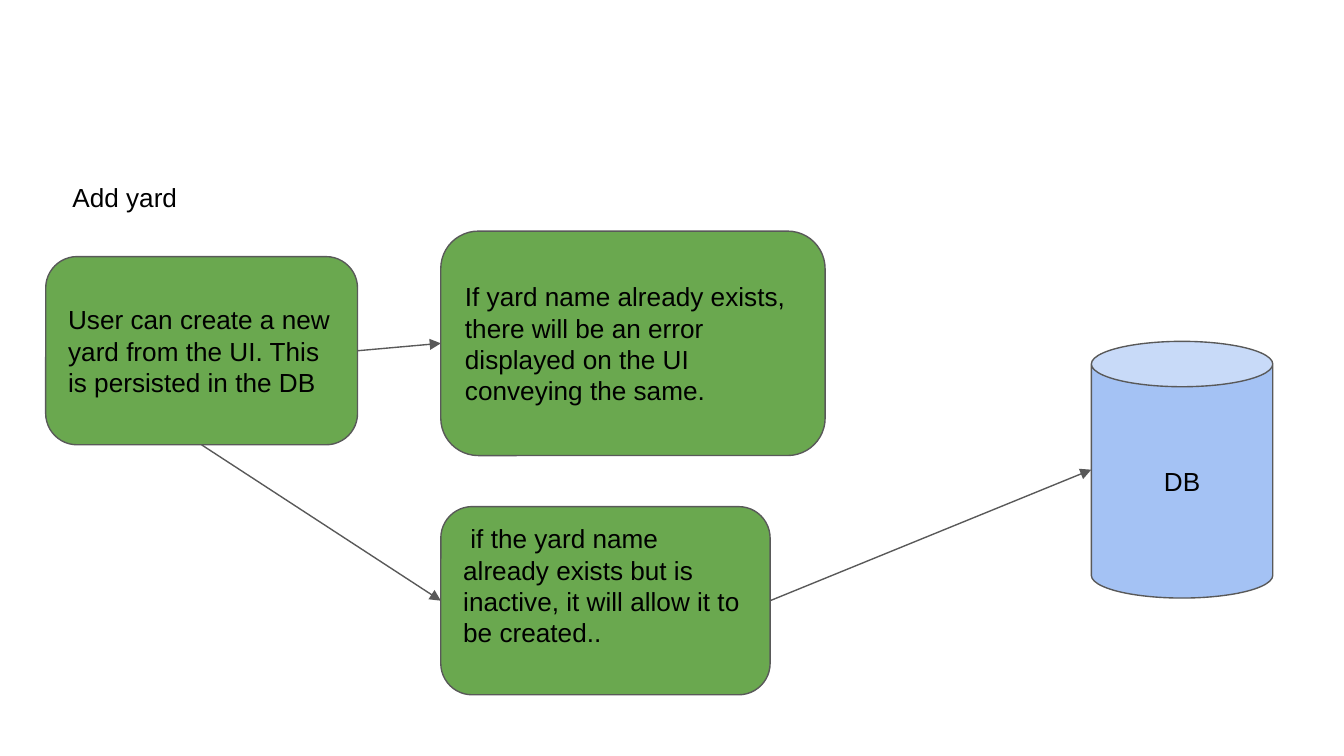
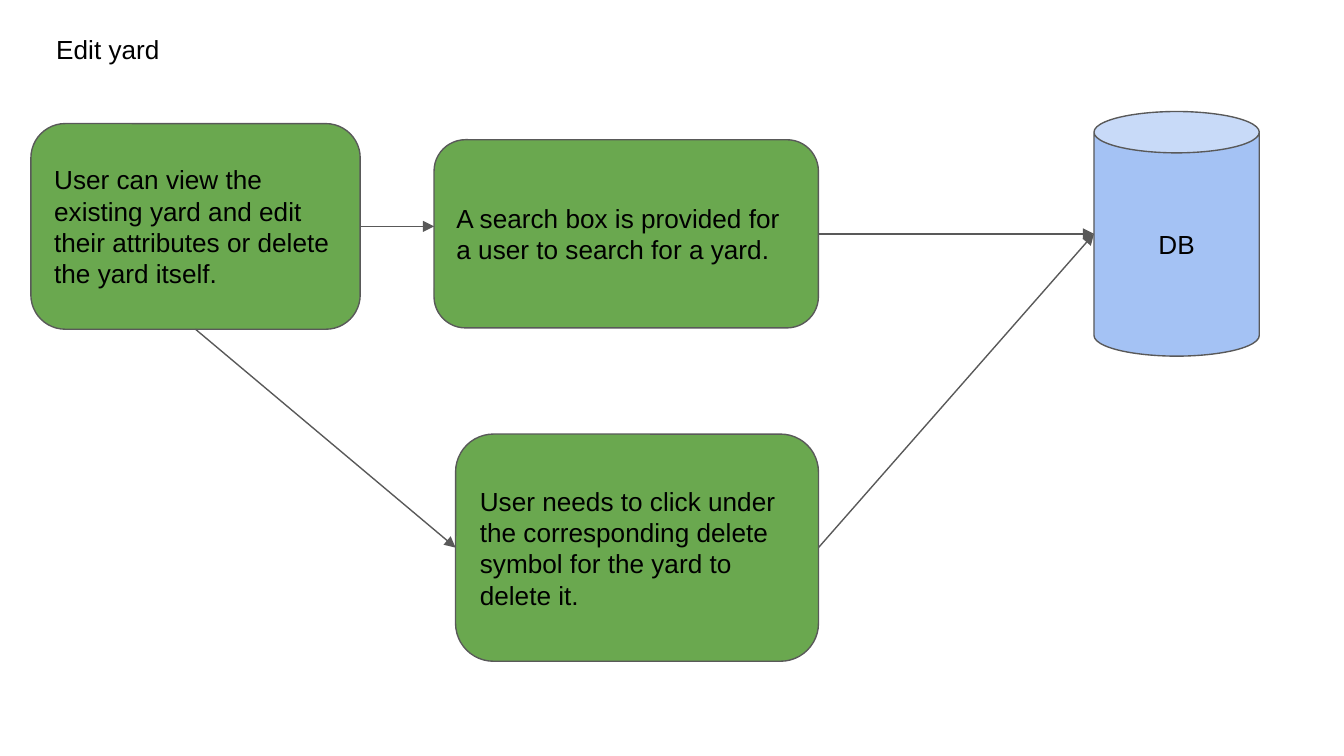
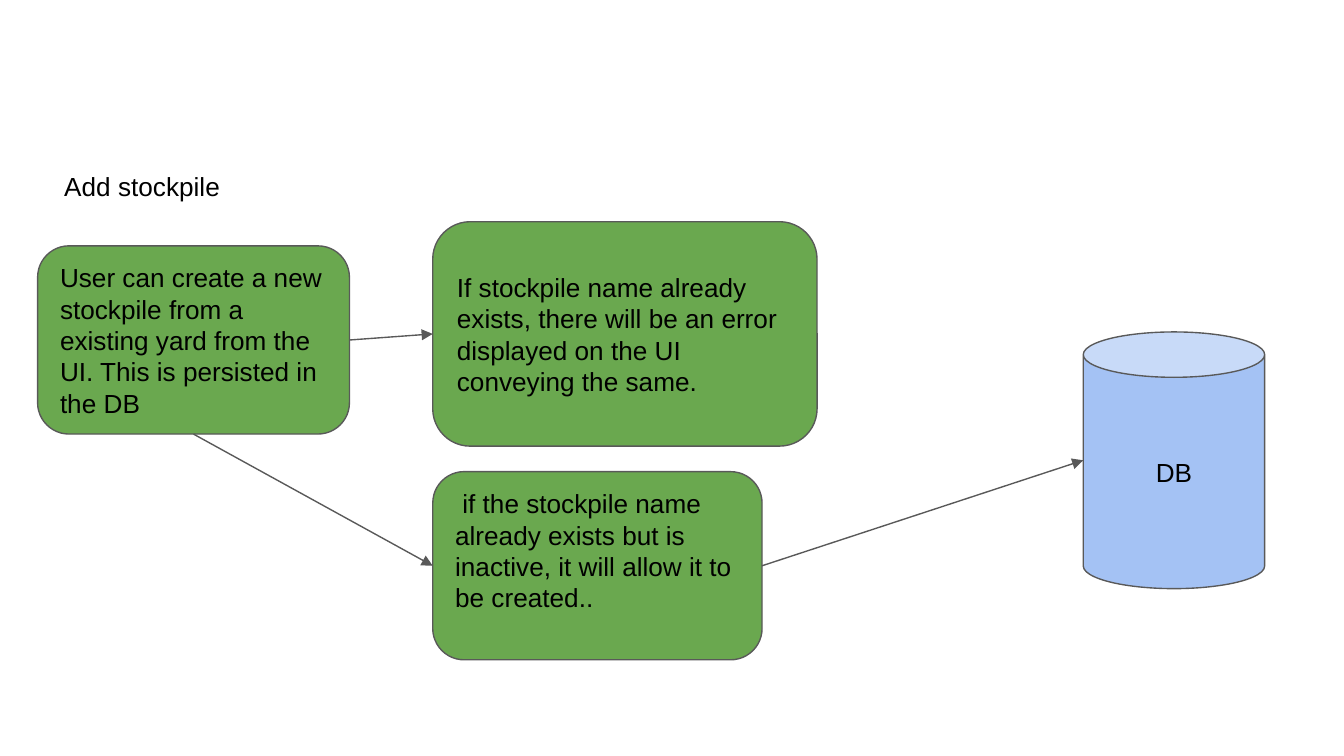
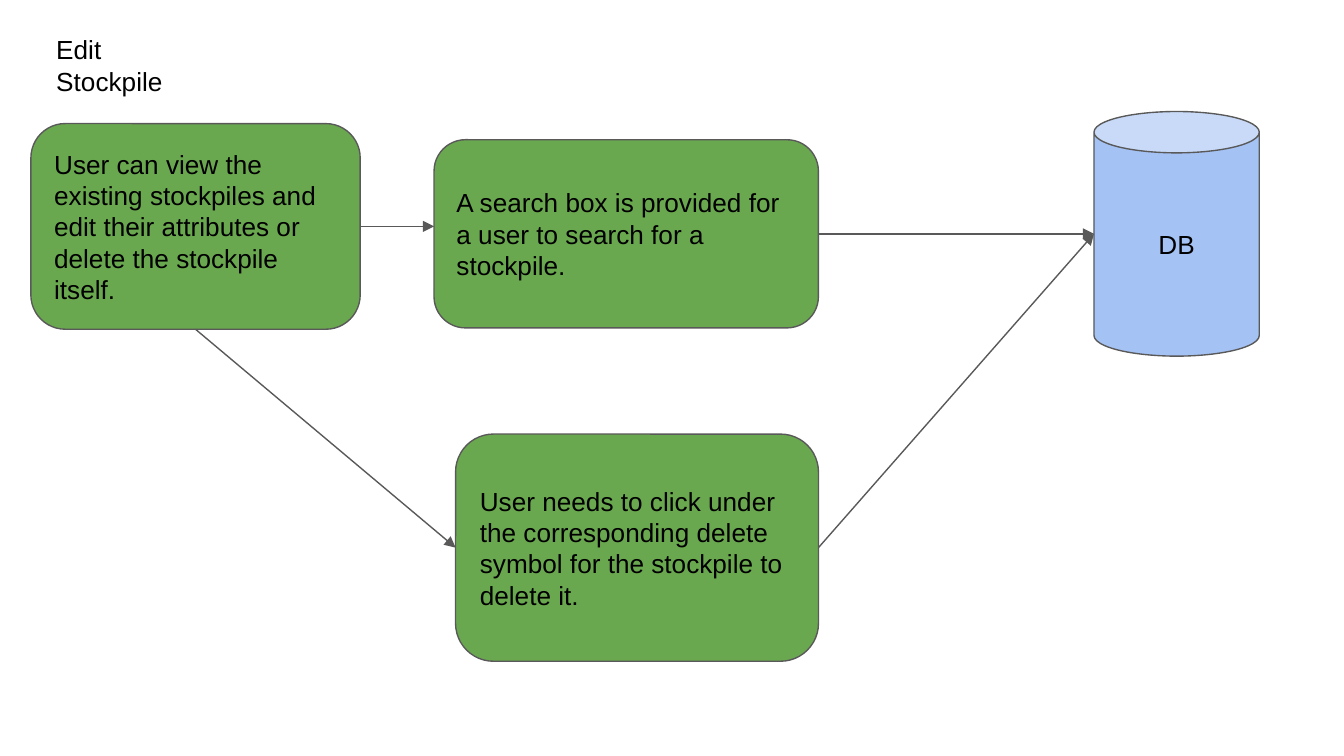
from lxml import etree
from pptx import Presentation
from pptx import util as u
from pptx.dml.color import RGBColor
from pptx.enum import shapes, text
from pptx.oxml.ns import qn

COLORS = {"step": "6AA84F", "database": "A4C2F4", "line": "595959", "text": "000000"}
FONT, FONT_SIZE = "Arial", u.Pt(14)
LINE_WIDTH = u.Pt(0.75)
INSET = 0.1
LINE_HEIGHT = 0.23

# Connection sites
LEFT, BOTTOM, RIGHT = 1, 2, 3
DATABASE_LEFT = 2


def color(name):
    return RGBColor.from_string(COLORS[name])


def write(shape, words, align=text.PP_ALIGN.LEFT, anchor=text.MSO_ANCHOR.MIDDLE,
          bottom=INSET):
    """Put one formatted paragraph into a shape."""
    frame = shape.text_frame
    frame.word_wrap = True
    frame.vertical_anchor = anchor
    frame.margin_left = frame.margin_right = frame.margin_top = u.Inches(INSET)
    frame.margin_bottom = u.Inches(bottom)
    para = frame.paragraphs[0]
    para.alignment = align
    span = para.add_run()
    span.text = words
    span.font.name, span.font.size = FONT, FONT_SIZE
    span.font.color.rgb = color("text")


def add_title(page, words, *place):
    box = page.shapes.add_textbox(*map(u.Inches, place))
    write(box, words, anchor=text.MSO_ANCHOR.TOP)


def add_block(page, kind, fill, place, words, **style):
    block = page.shapes.add_shape(kind, *map(u.Inches, place))
    block.shadow.inherit = False
    block.fill.solid()
    block.fill.fore_color.rgb = color(fill)
    block.line.color.rgb = color("line")
    block.line.width = LINE_WIDTH
    write(block, words, **style)
    return block


def add_step(page, words, *place, **style):
    return add_block(page, shapes.MSO_SHAPE.ROUNDED_RECTANGLE, "step", place, words, **style)


def add_database(page, *place):
    return add_block(page, shapes.MSO_SHAPE.CAN, "database", place, "DB",
                     align=text.PP_ALIGN.CENTER)


def add_arrow(page):
    arrow = page.shapes.add_connector(shapes.MSO_CONNECTOR.STRAIGHT, 0, 0, 0, 0)
    arrow.line.color.rgb = color("line")
    arrow.line.width = LINE_WIDTH
    line = arrow._element.spPr.find(qn("a:ln"))
    etree.SubElement(line, qn("a:tailEnd"), type="triangle")
    etree.SubElement(arrow._element.spPr, qn("a:effectLst"))
    return arrow


def link_steps(page, start, site, end):
    arrow = add_arrow(page)
    arrow.begin_connect(start, site)
    arrow.end_connect(end, LEFT)


def link_database(page, start, database):
    arrow = add_arrow(page)
    arrow.begin_connect(start, RIGHT)
    arrow.end_connect(database, DATABASE_LEFT)
    # The can numbers its sites differently, so set its left middle directly
    arrow.end_x = database.left
    arrow.end_y = database.top + database.height // 2


def add_creation_page(page, item, source, left, top, title_width, exists_top,
                      database_top, inactive_top):
    """Flow for adding an item; left and top are the corner of the first step."""
    add_title(page, f"Add {item}", left + 0.1, top - 0.66, title_width, 0.59)
    create = add_step(page, f"User can create a new {item} from {source}. "
                      "This is persisted in the DB", left, top, 2.32, 1.4)
    exists = add_step(page, f"If {item} name already exists, there will be an error "
                      "displayed on the UI conveying the same.",
                      left + 2.94, exists_top, 2.86, 1.67)
    link_steps(page, create, RIGHT, exists)
    database = add_database(page, left + 7.78, database_top, 1.35, 1.91)
    inactive = add_step(page, f" if the {item} name already exists but is inactive, "
                        "it will allow it to be created..",
                        left + 2.94, inactive_top, 2.45, 1.4, bottom=INSET + LINE_HEIGHT)
    link_steps(page, create, BOTTOM, inactive)
    link_database(page, inactive, database)


def add_editing_page(page, title, item, existing):
    """Flow for viewing, searching and deleting items."""
    add_title(page, title, 0.32, 0.15, 1.15, 0.59)
    view = add_step(page, f"User can view the existing {existing} and edit their "
                    f"attributes or delete the {item} itself.", 0.23, 0.92, 2.45, 1.53)
    # Level arrow: it meets the search step a little above its middle
    arrow = add_arrow(page)
    arrow.begin_connect(view, RIGHT)
    search = add_step(page, "A search box is provided for a user to search for "
                      f"a {item}.", 3.23, 1.04, 2.86, 1.4)
    arrow.end_x, arrow.end_y = search.left, arrow.begin_y
    database = add_database(page, 8.14, 0.83, 1.23, 1.82)
    link_database(page, search, database)
    delete = add_step(page, "User needs to click under the corresponding delete symbol "
                      f"for the {item} to delete it.", 3.39, 3.23, 2.7, 1.69)
    link_steps(page, view, BOTTOM, delete)
    link_database(page, delete, database)


def main():
    deck = Presentation()
    # Widescreen, 16:9
    deck.slide_width = u.Inches(10)
    deck.slide_height = u.Inches(10 * 9 / 16)
    blank = deck.slide_layouts[6]
    pages = [deck.slides.add_slide(blank) for _ in range(4)]

    # Yards
    add_creation_page(pages[0], "yard", "the UI", left=0.34, top=1.91, title_width=1.23,
                      exists_top=1.72, database_top=2.54, inactive_top=3.77)
    add_editing_page(pages[1], "Edit yard", "yard", "yard")

    # Stockpiles
    add_creation_page(pages[2], "stockpile", "a existing yard from the UI", left=0.28,
                      top=1.83, title_width=1.53, exists_top=1.65, database_top=2.47,
                      inactive_top=3.51)
    add_editing_page(pages[3], "Edit Stockpile", "stockpile", "stockpiles")

    deck.save("out.pptx")


if __name__ == "__main__":
    main()
